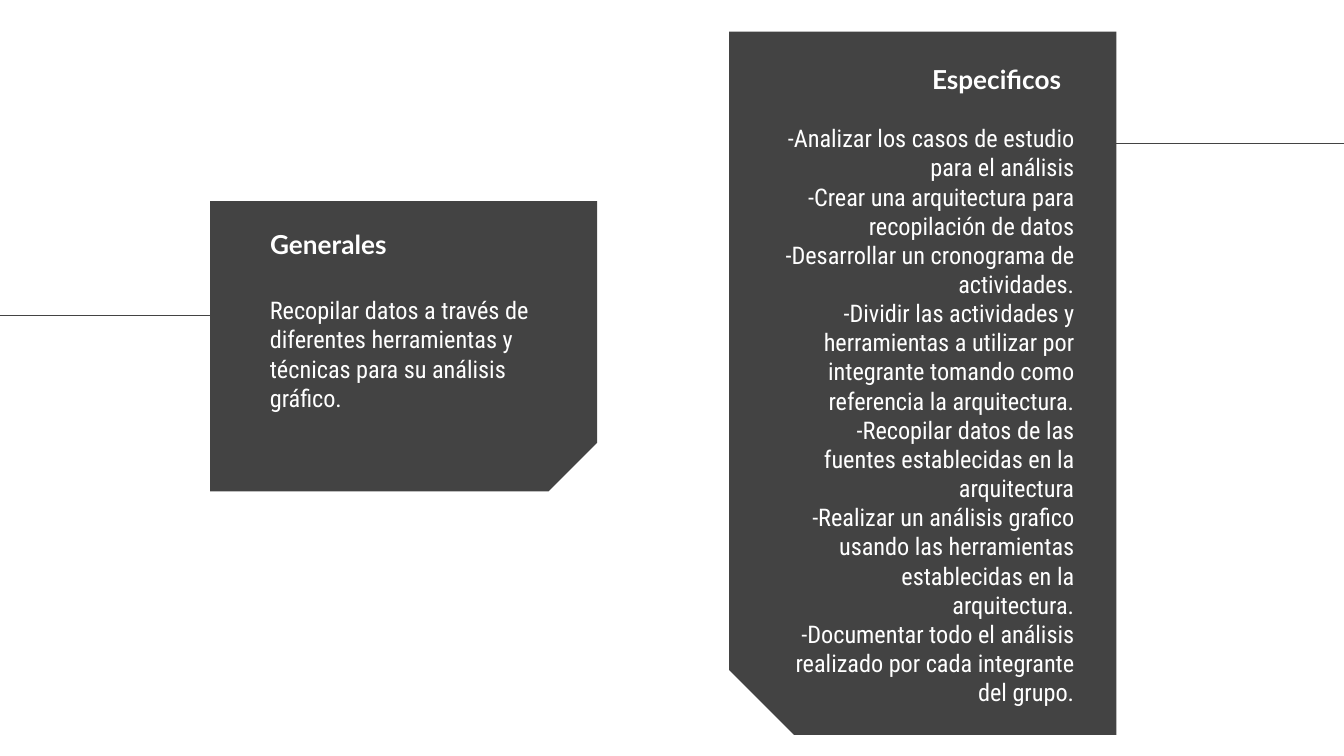
import pptx
import pptx.dml.color
import pptx.enum.shapes
import pptx.enum.text
import pptx.util
from lxml import etree

WIDTH = 10
HEIGHT = WIDTH * 9 / 16
COLUMNS, ROWS = 100, 100  # lengths below are in hundredths of the slide
LEFT = pptx.enum.text.PP_ALIGN.LEFT
RIGHT = pptx.enum.text.PP_ALIGN.RIGHT
TOP = pptx.enum.text.MSO_ANCHOR.TOP
BOTTOM = pptx.enum.text.MSO_ANCHOR.BOTTOM


def color(hex_value):
    return pptx.dml.color.RGBColor.from_string(hex_value)


def write_text(shape, lines, *, font, size, hex_value, bold=False,
               align=LEFT, anchor=TOP):
    """Fill a shape with one paragraph per line."""
    frame = shape.text_frame
    frame.word_wrap = True
    frame.auto_size = pptx.enum.text.MSO_AUTO_SIZE.NONE
    frame.vertical_anchor = anchor
    frame.margin_left = frame.margin_right = pptx.util.Inches(0.1)
    frame.margin_top = frame.margin_bottom = pptx.util.Inches(0.1)
    for index, line in enumerate(lines):
        paragraph = frame.add_paragraph() if index else frame.paragraphs[0]
        paragraph.alignment = align
        run = paragraph.add_run()
        run.text = line
        run.font.name = font
        run.font.size = pptx.util.Pt(size)
        run.font.bold = bold
        run.font.color.rgb = color(hex_value)


class GoalsSlide:
    dark = "434343"
    heading_style = dict(font="Lato", size=14, hex_value="FFFFFF", bold=True,
                         anchor=BOTTOM)
    body_style = dict(font="Roboto Condensed", size=13, hex_value="FFFFFF")

    def __init__(self, presentation):
        self.slide = presentation.slides.add_slide(presentation.slide_layouts[5])
        self.shapes = self.slide.shapes

    def box(self, column, row, columns, rows):
        """Turn grid units into left, top, width and height."""
        return (pptx.util.Inches(column * WIDTH / COLUMNS),
                pptx.util.Inches(row * HEIGHT / ROWS),
                pptx.util.Inches(columns * WIDTH / COLUMNS),
                pptx.util.Inches(rows * HEIGHT / ROWS))

    def card(self, area, cut_left=False):
        """A turned card with its lower left or lower right corner cut."""
        left, top, width, height = self.box(*area)
        shift = (width - height) // 2
        shape = self.shapes.add_shape(
            pptx.enum.shapes.MSO_SHAPE.SNIP_1_RECTANGLE,
            left + shift, top - shift, height, width)
        shape.adjustments[0] = 0.167
        shape.rotation = 270 if cut_left else 90
        if cut_left:
            shape._element.spPr.xfrm.set("flipH", "1")
        shape.shadow.inherit = False
        shape.fill.solid()
        shape.fill.fore_color.rgb = color(self.dark)
        shape.line.fill.background()

    def line(self, start, end, row):
        left, top, width, _ = self.box(start, row, end - start, 0)
        connector = self.shapes.add_connector(
            pptx.enum.shapes.MSO_CONNECTOR.STRAIGHT, left, top, left + width, top)
        connector.line.color.rgb = color(self.dark)
        connector.line.width = pptx.util.Pt(0.75)
        etree.SubElement(connector._element.spPr,
                         pptx.oxml.ns.qn("a:effectLst"))

    def title(self, area, text):
        title = self.shapes.title
        title.left, title.top, title.width, title.height = self.box(*area)
        self.shapes._spTree.append(title._element)  # in front of the cards
        write_text(title, [text], **self.heading_style)

    def heading(self, area, text, align):
        shape = self.shapes.add_textbox(*self.box(*area))
        write_text(shape, [text], align=align, **self.heading_style)

    def body(self, area, lines, align=LEFT):
        shape = self.shapes.add_textbox(*self.box(*area))
        write_text(shape, lines, align=align, **self.body_style)


def main():
    presentation = pptx.Presentation()
    presentation.slide_width = pptx.util.Inches(WIDTH)
    presentation.slide_height = pptx.util.Inches(HEIGHT)
    goals = GoalsSlide(presentation)

    # Cards and the lines that tie them to the slide edges
    goals.card((54.25, 4.2, 28.8, 93), cut_left=True)
    goals.line(83.05, 100, 18.95)
    goals.card((15.63, 26.6, 28.8, 38.4))
    goals.line(0, 15.63, 41.75)

    # General goal
    goals.title((19.1, 27.75, 13.8, 8.35), "Generales")
    goals.body((19.1, 37.3, 23.6, 19.55), [
        "Recopilar datos a través de diferentes herramientas y técnicas "
        "para su análisis gráfico."])

    # Specific goals
    goals.heading((60.45, 6.9, 19.5, 7.45), "Especificos", RIGHT)
    goals.body((57.3, 14.55, 23.6, 81.25), [
        "-Analizar los casos de estudio para el análisis",
        "-Crear una arquitectura para recopilación de datos",
        "-Desarrollar un cronograma de actividades.",
        "-Dividir las actividades y herramientas a utilizar por integrante "
        "tomando como referencia la arquitectura.",
        "-Recopilar datos de las fuentes establecidas en la arquitectura",
        "-Realizar un análisis grafico usando las herramientas establecidas "
        "en la arquitectura.",
        "-Documentar todo el análisis realizado por cada integrante del grupo.",
    ], RIGHT)

    presentation.save("out.pptx")


if __name__ == "__main__":
    main()
